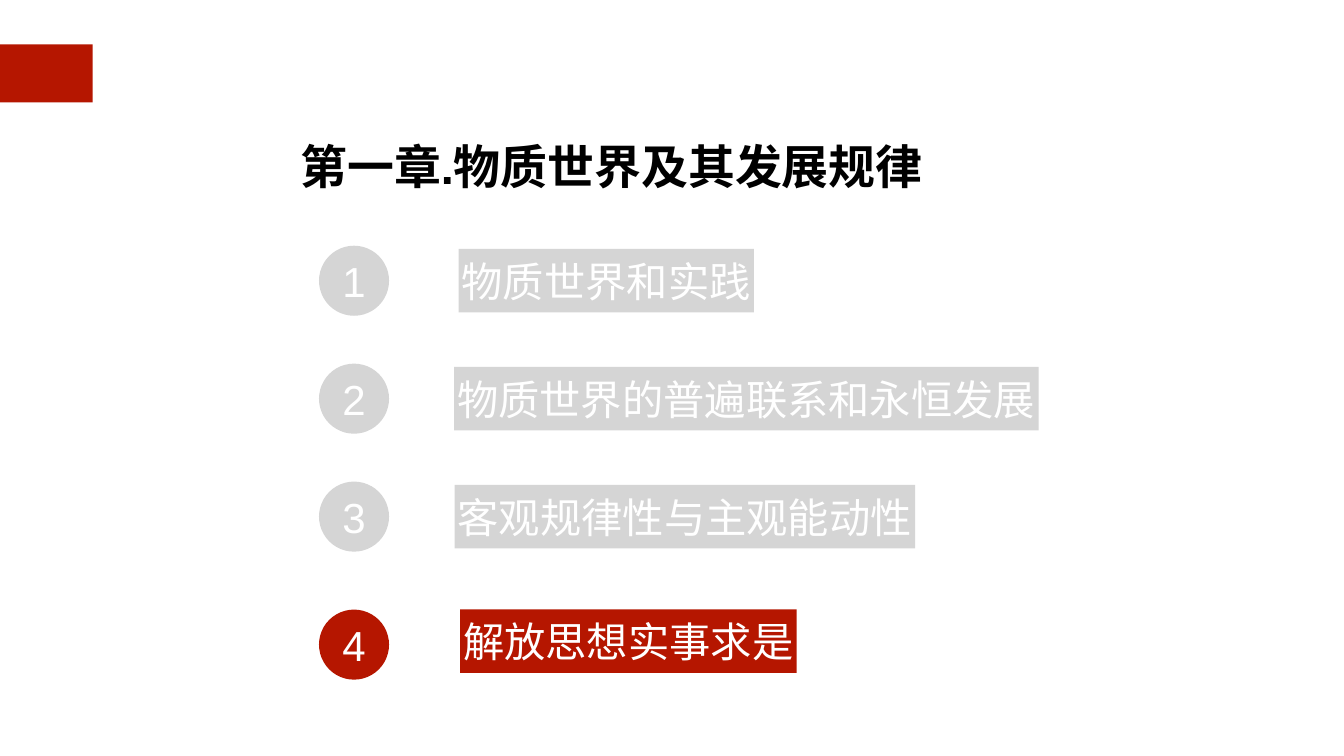
from dataclasses import dataclass
from pptx import Presentation
from pptx.dml.color import RGBColor
from pptx.enum.shapes import MSO_SHAPE as Preset
from pptx.enum.text import MSO_ANCHOR as Anchor, PP_ALIGN as Align
from pptx.util import Inches, Pt


@dataclass(frozen=True)
class Theme:
    font: str = "Arial"
    active: str = "B51600"
    muted: str = "D5D5D5"
    light: str = "FFFFFF"
    dark: str = "000000"
    title_size: int = 67
    label_size: int = 59
    number_size: int = 60


theme = Theme()
presentation = Presentation()
presentation.slide_width = Inches(26.67)
presentation.slide_height = Inches(15)
slide = presentation.slides.add_slide(presentation.slide_layouts[6])


def add_block(preset, left, top, width, height, color):
    shape = slide.shapes.add_shape(
        preset, Inches(left), Inches(top), Inches(width), Inches(height))
    shape.shadow.inherit = False
    shape.fill.solid()
    shape.fill.fore_color.rgb = RGBColor.from_string(color)
    shape.line.fill.background()
    return shape


def write(shape, text, size, color, align, inset, wrap, bold=False):
    frame = shape.text_frame
    frame.word_wrap = wrap
    frame.vertical_anchor = Anchor.MIDDLE
    frame.margin_left = frame.margin_right = Inches(inset)
    frame.margin_top = frame.margin_bottom = Inches(inset)
    paragraph = frame.paragraphs[0]
    paragraph.alignment = align
    run = paragraph.add_run()
    run.text = text
    run.font.name = theme.font
    run.font.size = Pt(size)
    run.font.bold = bold
    run.font.color.rgb = RGBColor.from_string(color)
    return paragraph


# Corner accent
add_block(Preset.RECTANGLE, -0.03, 0.88, 1.87, 1.15, theme.active)

# Chapter title
title = slide.shapes.add_textbox(Inches(5.9), Inches(2.21), Inches(12.59), Inches(1.59))
heading = write(title, "第一章.物质世界及其发展规律", theme.title_size, theme.dark,
                Align.LEFT, 0.06, True, bold=True)
heading.line_spacing = 1.5

# Sections: label, left, width, extra drop of the circle and of the label
sections = [
    ("物质世界和实践", 9.1, 5.86, 0, 0),
    ("物质世界的普遍联系和永恒发展", 9.01, 11.6, 0, 0),
    ("客观规律性与主观能动性", 9.02, 9.14, 0, 0),
    ("解放思想实事求是", 9.13, 6.68, 0.2, 0.13),
]
first_center, row_pitch = 5.57, 2.34
circle_left, circle_size, label_height = 6.33, 1.39, 1.26
current_section = 4

for number, (label, left, width, circle_drop, label_drop) in enumerate(sections, 1):
    center = first_center + (number - 1) * row_pitch
    color = theme.active if number == current_section else theme.muted
    circle = add_block(Preset.OVAL, circle_left, center + circle_drop - circle_size / 2,
                       circle_size, circle_size, color)
    write(circle, str(number), theme.number_size, theme.light, Align.CENTER, 0, True)
    bar = add_block(Preset.RECTANGLE, left, center + label_drop - label_height / 2,
                    width, label_height, color)
    write(bar, label, theme.label_size, theme.light, Align.CENTER, 0.06, False)

presentation.save("out.pptx")
